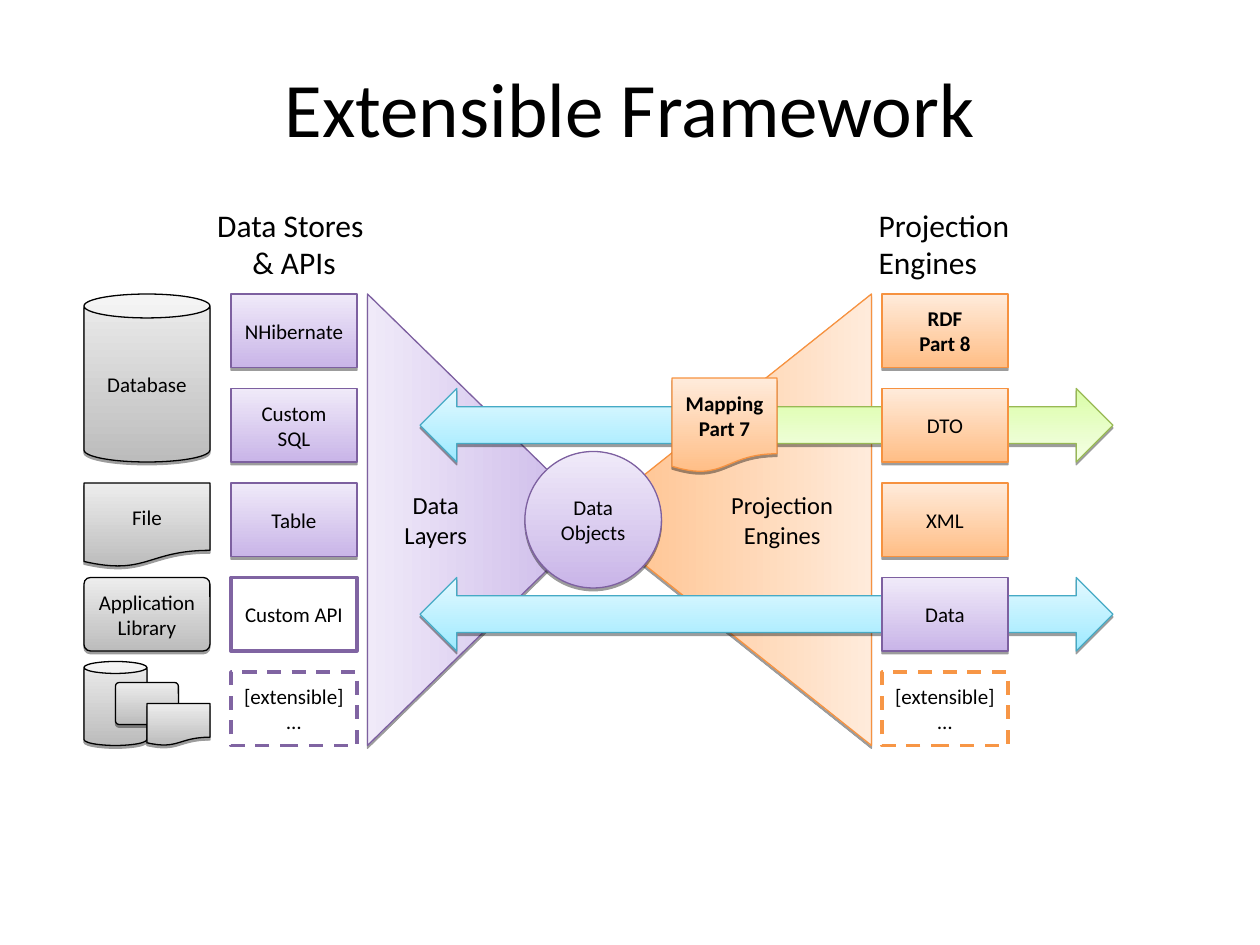
from lxml.etree import SubElement
from pptx import Presentation
from pptx.dml.color import RGBColor
from pptx.enum.dml import MSO_LINE as Dash
from pptx.enum.shapes import MSO_SHAPE as Kind
from pptx.enum.text import MSO_ANCHOR as Anchor, MSO_AUTO_SIZE as Fit, PP_ALIGN as Align
from pptx.oxml.ns import qn
from pptx.util import Cm, Pt

GRID = 2.54 / 12
PURPLE = ("C9B5E8", "F0EAF9", "7D60A0")
ORANGE = ("FFBE86", "FFEBDB", "F69240")
GREEN = ("DAFDA7", "F5FFE6", "98B954")
BLUE = ("9EEAFF", "E4F9FF", "46AAC5")
GRAY = ("BCBCBC", "EDEDED", "000000")


def color(code):
    return RGBColor.from_string(code)


def cells(*counts):
    return [Cm(count * GRID) for count in counts]


class Diagram:
    """Draws the styled parts of a framework diagram on one slide."""

    font = "Calibri"
    ink = "000000"

    def __init__(self, slide):
        self.shapes = slide.shapes

    def set_lines(self, frame, lines, size, bold=False, align=Align.CENTER):
        frame.word_wrap = True
        for number, line in enumerate(lines):
            paragraph = frame.paragraphs[0] if number == 0 else frame.add_paragraph()
            paragraph.text = line
            paragraph.alignment = align
            paragraph.font.name = self.font
            paragraph.font.size = Pt(size)
            paragraph.font.bold = bold
            paragraph.font.color.rgb = color(self.ink)

    def label(self, box, text, size, align=Align.CENTER, wrap=True):
        frame = self.shapes.add_textbox(*cells(*box)).text_frame
        self.set_lines(frame, [text], size, align=align)
        frame.word_wrap = wrap
        frame.auto_size = Fit.SHAPE_TO_FIT_TEXT

    def outline(self, kind, box, line, width, lines=(), bold=False):
        part = self.shapes.add_shape(kind, *cells(*box))
        part.shadow.inherit = False
        part.line.color.rgb = color(line)
        part.line.width = Pt(width)
        part.text_frame.vertical_anchor = Anchor.MIDDLE
        self.set_lines(part.text_frame, lines, 12, bold)
        return part

    def frame(self, box, line, lines, fill=None, dash=None):
        part = self.outline(Kind.RECTANGLE, box, line, 2, lines)
        part.line.dash_style = dash
        if fill:
            part.fill.solid()
            part.fill.fore_color.rgb = color(fill)
        else:
            part.fill.background()

    def block(self, kind, box, palette, text="", bold=False, angle=90, turn=0, adjust=None):
        dark, light, edge = palette
        part = self.outline(kind, box, edge, 0.75, [text] if text else (), bold)
        part.fill.gradient()
        part.fill.gradient_angle = angle
        for stop, tint in zip(part.fill.gradient_stops, (dark, light)):
            stop.color.rgb = color(tint)
        part.rotation = turn
        if adjust:
            part.adjustments[0] = adjust
        self.cast_shadow(part)

    def cast_shadow(self, part):
        effects = part._element.spPr.find(qn("a:effectLst"))
        shadow = SubElement(effects, qn("a:outerShdw"), blurRad="0", dist=str(Pt(1.6)),
                            dir="5400000", rotWithShape="0")
        black = SubElement(shadow, qn("a:srgbClr"), val="000000")
        SubElement(black, qn("a:alpha"), val="38000")


def main():
    deck = Presentation()
    deck.slide_width, deck.slide_height = Cm(25.4), Cm(19.05)
    diagram = Diagram(deck.slides.add_slide(deck.slide_layouts[6]))
    rows = [28 + 9 * row for row in range(5)]
    stores, engines, sources = 22, 84, 8

    def cell(left, row):
        return left, rows[row], 12, 7

    diagram.label((2, 5.2, 116, 10.1), "Extensible Framework", 44)
    diagram.block(Kind.ISOSCELES_TRIANGLE, (24.5, 38.5, 43, 22), PURPLE, angle=270, turn=90)
    diagram.block(Kind.ISOSCELES_TRIANGLE, (48, 36, 43, 27), ORANGE, angle=270, turn=270)
    diagram.label((66, 46.1, 17, 6.8), "Projection\nEngines", 14)
    for row, store in enumerate(("NHibernate", "Custom SQL", "Table")):
        diagram.block(Kind.RECTANGLE, cell(stores, row), PURPLE, store)
    diagram.block(Kind.OVAL, (50, 43, 13, 13), PURPLE, "Data Objects")
    diagram.label((82.5, 19, 14.9, 8.4), "Projection\nEngines", 18, Align.LEFT, wrap=False)
    diagram.label((19.5, 19, 17, 12), "Data Stores \n& APIs", 18)
    diagram.label((35, 46.1, 13, 6.8), "Data\nLayers", 14)

    diagram.block(Kind.LEFT_RIGHT_ARROW, (64, rows[1], 42, 7), GREEN, angle=270)
    diagram.frame(cell(stores, 3), "8064A2", ["Custom API"], fill="FFFFFF")
    for left, edge in ((stores, "8064A2"), (engines, "F79646")):
        diagram.frame(cell(left, 4), edge, ["[extensible]", "…"], dash=Dash.DASH)
    for row, width in ((3, 66), (1, 28)):
        diagram.block(Kind.LEFT_RIGHT_ARROW, (40, rows[row], width, 7), BLUE)
    diagram.block(Kind.FLOWCHART_DOCUMENT, (64, 36, 10, 9), ORANGE, "Mapping\nPart 7", bold=True)
    for row, (engine, palette, bold) in enumerate((
            ("RDF\nPart 8", ORANGE, True), ("DTO", ORANGE, False),
            ("XML", ORANGE, False), ("Data", PURPLE, False))):
        diagram.block(Kind.RECTANGLE, cell(engines, row), palette, engine, bold)

    for kind, box, source, adjust in (
            (Kind.CAN, (sources, rows[0], 12, 16), "Database", 0.19),
            (Kind.FLOWCHART_DOCUMENT, (sources, rows[2], 12, 8), "File", None),
            (Kind.ROUNDED_RECTANGLE, cell(sources, 3), "Application\nLibrary", 0.09),
            (Kind.CAN, (sources, 63, 6, 8), "", 0.19),
            (Kind.ROUNDED_RECTANGLE, (sources + 3, 65, 6, 4), "", 0.09),
            (Kind.FLOWCHART_DOCUMENT, (sources + 6, 67, 6, 4), "", None)):
        diagram.block(kind, box, GRAY, source, adjust=adjust)
    deck.save("out.pptx")


if __name__ == "__main__":
    main()
